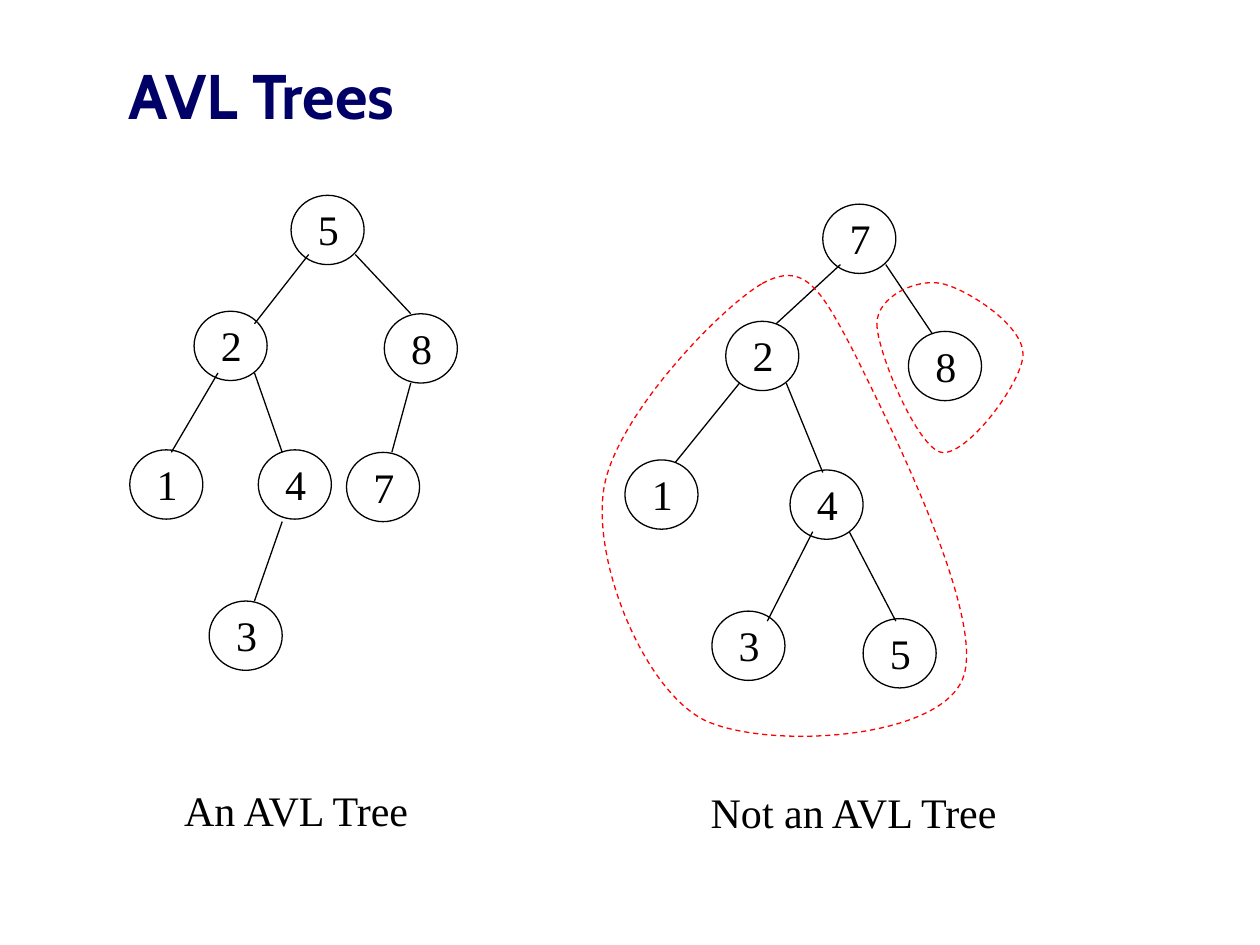
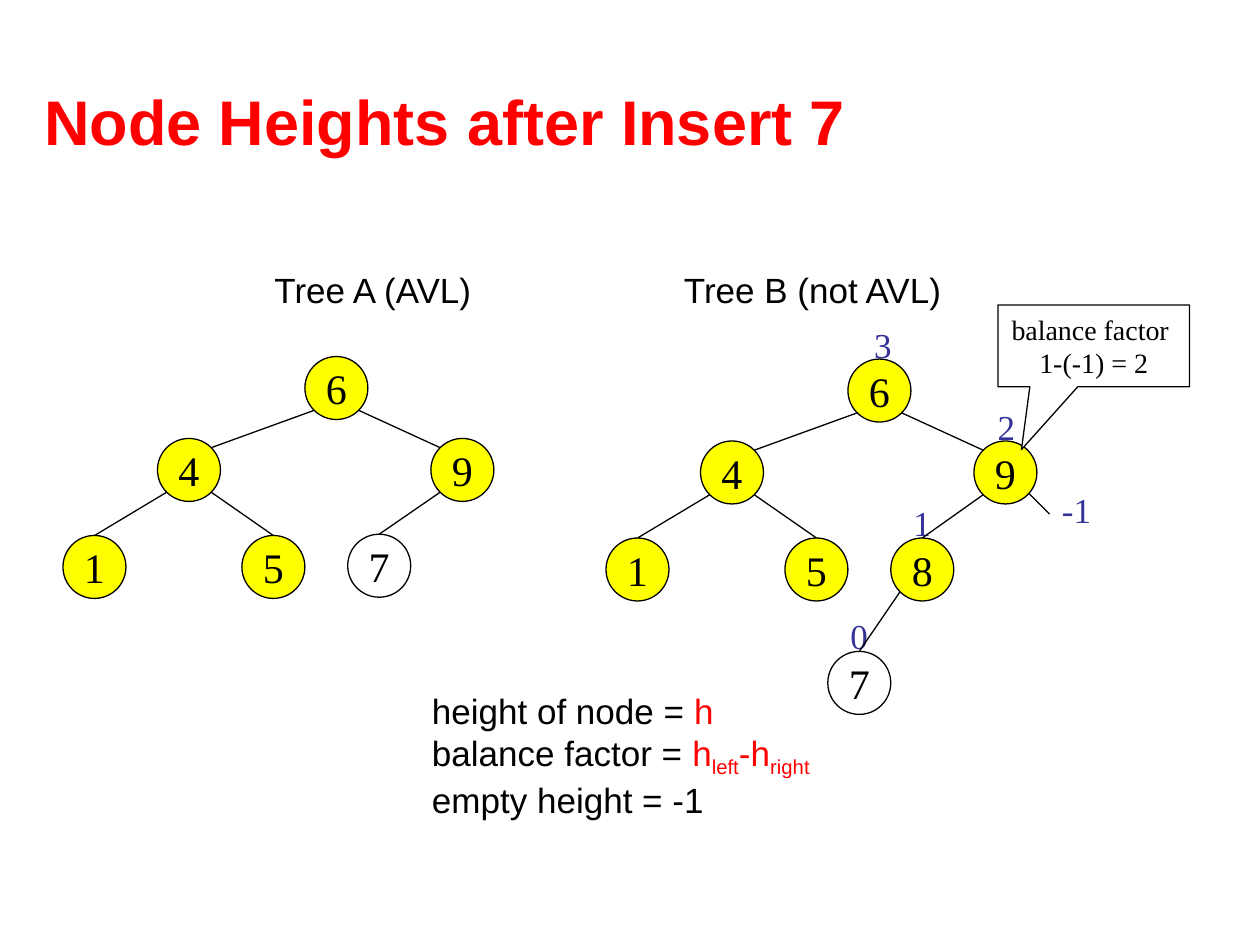
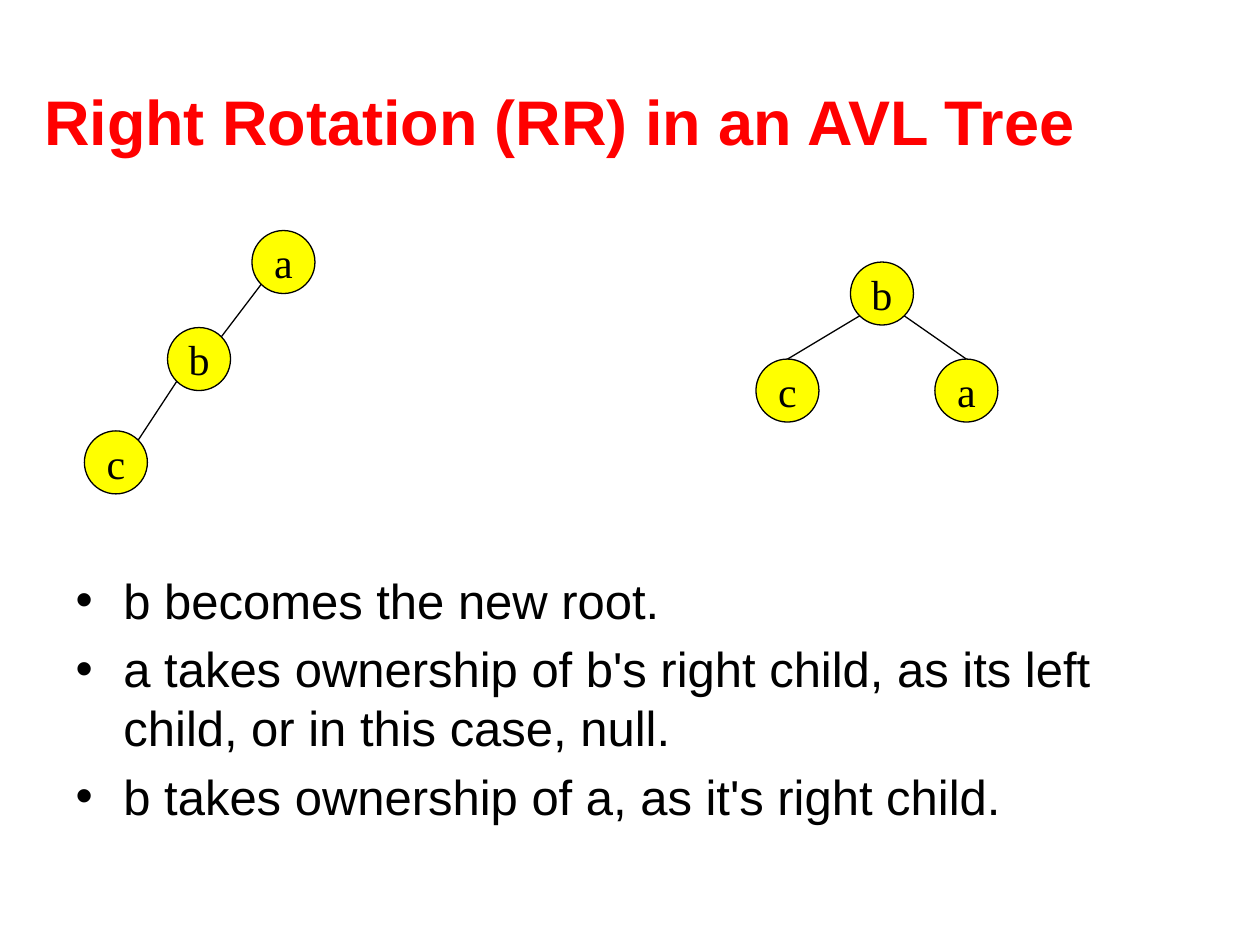
from dataclasses import dataclass
from itertools import chain
from typing import Optional, Sequence

from lxml.etree import SubElement
from pptx import Presentation
from pptx.dml.color import RGBColor
from pptx.enum.dml import MSO_LINE
from pptx.enum.shapes import MSO_CONNECTOR, MSO_SHAPE
from pptx.enum.text import MSO_ANCHOR as Anchor, MSO_AUTO_SIZE as AutoSize, PP_ALIGN as Align
from pptx.oxml.ns import qn
from pptx.util import Cm, Pt


@dataclass(frozen=True)
class Theme:
    """Colours, fonts and sizes shared by the slides."""
    black: str = "000000"
    white: str = "FFFFFF"
    red: str = "FF0000"
    navy: str = "000066"
    indigo: str = "333399"
    yellow: str = "FFFF00"
    sans: str = "Arial"
    serif: str = "Times New Roman"
    heading: str = "Cabin"
    title_size: float = 36
    body_size: float = 28
    node_size: float = 24
    label_size: float = 20
    callout_size: float = 16
    line_width: float = 0.75


THEME = Theme()
CIRCLE = 0.5           # diameter of a filled node, inches
CORNER = CIRCLE * 0.354  # offset of a diagonal point on its rim
Point = tuple[float, float]
Curve = tuple[Point, Point, Point]


@dataclass(frozen=True)
class Style:
    """Look of a piece of text."""
    size: float
    font: str = THEME.serif
    color: str = THEME.black
    bold: Optional[bool] = None


@dataclass(frozen=True)
class Span:
    """Part of a paragraph, in its own colour or lowered."""
    text: str
    color: str = THEME.black
    lowered: bool = False


@dataclass(frozen=True)
class Node:
    """Tree node: its text, top left corner and fill."""
    text: str
    x: float
    y: float
    fill: Optional[str] = THEME.yellow


@dataclass(frozen=True)
class Edge:
    """Link between two nodes, ending at the child's top or its corner."""
    parent: str
    child: str
    to_corner: bool = False


@dataclass(frozen=True)
class Label:
    """Free-standing line of text."""
    text: str
    x: float
    y: float
    width: float
    height: float


NODE_STYLE = Style(THEME.node_size)
HEIGHT_STYLE = Style(THEME.label_size, color=THEME.indigo)
LABEL_STYLE = Style(THEME.label_size, THEME.sans)
BODY_STYLE = Style(THEME.body_size, THEME.sans)


def inch(value: float) -> Cm:
    """Turn inches into a length."""
    return Cm(value * 2.54)


def rgb(color: str) -> RGBColor:
    """Turn a hex string into a colour."""
    return RGBColor.from_string(color)


def format_run(run, style: Style, color: Optional[str] = None) -> None:
    """Apply a text style to one run."""
    run.font.size = Pt(style.size)
    run.font.name = style.font
    run.font.bold = style.bold
    run.font.color.rgb = rgb(color or style.color)


def write_lines(frame, text: str, style: Style, align=Align.LEFT) -> None:
    """Fill a text frame and format every paragraph."""
    frame.text = text
    for para in frame.paragraphs:
        para.alignment = align
        for run in para.runs:
            format_run(run, style)


def space_before(para, percent: int):
    """Set relative space above a paragraph and return its properties."""
    props = para._p.get_or_add_pPr()
    spacing = SubElement(props, qn("a:spcBef"))
    SubElement(spacing, qn("a:spcPct")).set("val", str(percent * 1000))
    return props


def outline(shape, color: str = THEME.black, fill: Optional[str] = None) -> None:
    """Give a shape a thin line, an optional fill and no shadow."""
    shape.shadow.inherit = False
    if fill:
        shape.fill.solid()
        shape.fill.fore_color.rgb = rgb(fill)
    else:
        shape.fill.background()
    shape.line.color.rgb = rgb(color)
    shape.line.width = Pt(THEME.line_width)


def add_page(deck, title: str, style: Style, place: tuple, layout: int = 5):
    """Add a slide and format its title; layout 5 is title only."""
    page = deck.slides.add_slide(deck.slide_layouts[layout])
    box = page.shapes.title
    box.left, box.top, box.width, box.height = map(inch, place)
    write_lines(box.text_frame, title, style)
    box.text_frame.vertical_anchor = Anchor.MIDDLE
    box.text_frame.auto_size = AutoSize.NONE
    return page


def add_box(page, x: float, y: float, width: float, height: float, wrap: bool):
    """Add a growing text box and return its text frame."""
    box = page.shapes.add_textbox(inch(x), inch(y), inch(width), inch(height))
    box.text_frame.word_wrap = wrap
    box.text_frame.auto_size = AutoSize.SHAPE_TO_FIT_TEXT
    return box.text_frame


def add_label(page, label: Label, style: Style, align=Align.LEFT, wrap: bool = True) -> None:
    """Draw one label; wrapped labels have half a line above."""
    frame = add_box(page, label.x, label.y, label.width, label.height, wrap)
    write_lines(frame, label.text, style, align)
    if wrap:
        space_before(frame.paragraphs[0], 50)


def add_line(page, start: Point, end: Point) -> None:
    """Draw a thin straight line."""
    line = page.shapes.add_connector(MSO_CONNECTOR.STRAIGHT, *map(inch, start + end))
    line.line.color.rgb = rgb(THEME.black)
    line.line.width = Pt(THEME.line_width)
    SubElement(line._element.spPr, qn("a:effectLst"))


def add_outline_node(page, node: Node) -> None:
    """Draw an unfilled oval with its key in a box on top."""
    oval = page.shapes.add_shape(MSO_SHAPE.OVAL, inch(node.x), inch(node.y), inch(0.58), inch(0.55))
    outline(oval)
    add_label(page, Label(node.text, node.x + 0.115, node.y + 0.02, 0.44, 0.5), NODE_STYLE)


def add_circle(page, node: Node) -> None:
    """Draw a round node that holds its key."""
    circle = page.shapes.add_shape(MSO_SHAPE.OVAL, inch(node.x), inch(node.y), inch(CIRCLE), inch(CIRCLE))
    outline(circle, fill=node.fill)
    frame = circle.text_frame
    frame.word_wrap = False
    frame.vertical_anchor = Anchor.MIDDLE
    write_lines(frame, node.text, NODE_STYLE, Align.CENTER)


def add_tree(page, nodes: Sequence[Node], edges: Sequence[Edge]) -> None:
    """Draw round nodes and link them rim to rim."""
    centers = {}
    for node in nodes:
        add_circle(page, node)
        centers[node.text] = (node.x + CIRCLE / 2, node.y + CIRCLE / 2)
    for edge in edges:
        (px, py), (cx, cy) = centers[edge.parent], centers[edge.child]
        shift = CORNER if cx > px else -CORNER
        end = (cx - shift, cy - CORNER) if edge.to_corner else (cx, cy - CIRCLE / 2)
        add_line(page, (px + shift, py + CORNER), end)


def bend_segments(shape) -> None:
    """Turn each three straight segments of a freeform into one cubic curve."""
    contour = next(shape._element.iter(qn("a:path")))
    segments = contour.findall(qn("a:lnTo"))
    for first in range(0, len(segments), 3):
        curve = contour.makeelement(qn("a:cubicBezTo"))
        segments[first].addprevious(curve)
        for segment in segments[first:first + 3]:
            curve.append(segment[0])
            contour.remove(segment)


def add_loop(page, start: Point, curves: Sequence[Curve]) -> None:
    """Draw a dashed red loop round a subtree."""
    builder = page.shapes.build_freeform(inch(start[0]), inch(start[1]))
    builder.add_line_segments([(inch(x), inch(y)) for x, y in chain.from_iterable(curves)], close=True)
    loop = builder.convert_to_shape()
    bend_segments(loop)
    outline(loop, THEME.red)
    loop.line.dash_style = MSO_LINE.DASH


def add_definitions(page, lines: Sequence[Sequence[Span]]) -> None:
    """Write the definitions in mixed colours and lowered indices."""
    frame = add_box(page, 3.33, 5.42, 3.25, 1.1, wrap=False)
    for index, spans in enumerate(lines):
        para = frame.add_paragraph() if index else frame.paragraphs[0]
        for span in spans:
            run = para.add_run()
            run.text = span.text
            format_run(run, LABEL_STYLE, span.color)
            if span.lowered:
                run._r.get_or_add_rPr().set("baseline", "-25000")


def add_callout(page, text: str) -> None:
    """Draw the speech box that points at node 9."""
    callout = page.shapes.add_shape(MSO_SHAPE.RECTANGULAR_CALLOUT, inch(7.92), inch(2.42), inch(1.52), inch(0.65))
    callout.adjustments[0], callout.adjustments[1] = -0.377, 1.266
    outline(callout, fill=THEME.white)
    frame = callout.text_frame
    frame.word_wrap = False
    frame.auto_size = AutoSize.SHAPE_TO_FIT_TEXT
    frame.vertical_anchor = Anchor.MIDDLE
    write_lines(frame, text, Style(THEME.callout_size), Align.CENTER)


def add_bullets(page, items: Sequence[str]) -> None:
    """Write the bullet list at the foot of the body placeholder."""
    body = page.placeholders[1]
    body.left, body.top, body.width, body.height = map(inch, (0.5, 1.75, 9, 4.95))
    frame = body.text_frame
    frame.auto_size = AutoSize.NONE
    frame.vertical_anchor = Anchor.BOTTOM
    frame.margin_bottom = inch(0.15)
    write_lines(frame, "\n".join(items), BODY_STYLE)
    for para in frame.paragraphs:
        props = space_before(para, 20)
        props.set("marL", str(inch(0.38)))
        props.set("indent", str(-inch(0.38)))
        SubElement(props, qn("a:buChar")).set("char", "•")


def build_avl_trees(deck) -> None:
    """Compare a balanced tree with an unbalanced one."""
    page = add_page(deck, "AVL Trees", Style(THEME.title_size, THEME.heading, THEME.navy, True),
                    (0.92, 0.25, 8.5, 1))
    balanced = (Node("5", 2.31, 1.55), Node("2", 1.54, 2.47), Node("8", 3.05, 2.49), Node("1", 1.03, 3.57),
                Node("4", 2.05, 3.57), Node("3", 1.66, 4.77), Node("7", 2.75, 3.59))
    unbalanced = (Node("7", 6.53, 1.62), Node("2", 5.76, 2.55), Node("8", 7.21, 2.63), Node("1", 4.96, 3.65),
                  Node("4", 6.27, 3.73), Node("3", 5.65, 4.85), Node("5", 6.85, 4.91))
    balanced_links = (
        ((2.45, 2.02), (2.02, 2.57)), ((2.82, 2.02), (3.26, 2.49)), ((1.73, 2.96), (1.36, 3.59)),
        ((2.02, 2.96), (2.24, 3.59)), ((2.24, 4.14), (2.02, 4.77)), ((3.26, 3.04), (3.11, 3.59)))
    unbalanced_links = (
        ((6.67, 2.1), (6.16, 2.57)), ((7.03, 2.1), (7.4, 2.65)), ((5.87, 3.04), (5.36, 3.67)),
        ((6.24, 3.04), (6.53, 3.75)), ((6.45, 4.22), (6.09, 4.93)), ((6.74, 4.22), (7.11, 4.93)))
    trees = ((balanced, balanced_links, Label("An AVL Tree", 1.15, 6.18, 2.4, 0.5)),
             (unbalanced, unbalanced_links, Label("Not an AVL Tree", 5.36, 6.19, 2.83, 0.5)))
    for nodes, links, caption in trees:
        for node in nodes:
            add_outline_node(page, node)
        for start, end in links:
            add_line(page, start, end)
        add_label(page, caption, NODE_STYLE, Align.CENTER)
    add_loop(page, (6.05, 2.25), (
        ((6.38, 2.07), (6.51, 2.28), (6.78, 2.8)), ((7.04, 3.33), (7.84, 4.91), (7.64, 5.39)),
        ((7.44, 5.88), (6.06, 5.95), (5.58, 5.71)), ((5.11, 5.46), (4.71, 4.48), (4.79, 3.9)),
        ((4.86, 3.33), (5.72, 2.44), (6.05, 2.25))))
    add_loop(page, (6.96, 2.57), (
        ((6.96, 2.79), (7.28, 3.55), (7.47, 3.59)), ((7.67, 3.63), (8.12, 3.03), (8.12, 2.81)),
        ((8.12, 2.58), (7.67, 2.29), (7.47, 2.25)), ((7.28, 2.21), (6.96, 2.35), (6.96, 2.57))))


def build_node_heights(deck, title_style: Style, title_place: tuple) -> None:
    """Show heights and the balance factor after an insertion."""
    page = add_page(deck, "Node Heights after Insert 7", title_style, title_place)
    for text, x, y, width in (("2", 7.82, 3.17, 0.34), ("1", 7.15, 3.93, 0.34), ("3", 6.84, 2.52, 0.34),
                              ("0", 6.65, 4.83, 0.34), ("-1", 8.33, 3.83, 0.43)):
        add_label(page, Label(text, x, y, width, 0.43), HEIGHT_STYLE, wrap=False)

    shared_nodes = (Node("6", 2.42, 2.83), Node("4", 1.25, 3.48), Node("9", 3.42, 3.48),
                    Node("1", 0.5, 4.25), Node("5", 1.92, 4.25))
    shared_edges = (Edge("6", "4", True), Edge("6", "9", True), Edge("4", "1"), Edge("4", "5"))
    tree_b = tuple(Node(node.text, node.x + 4.31, node.y + 0.02) for node in shared_nodes)
    add_tree(page, tree_b + (Node("8", 7.07, 4.27), Node("7", 6.57, 5.17, None)),
             shared_edges + (Edge("9", "8"), Edge("8", "7")))
    add_line(page, (8.17, 3.92), (8.33, 4.08))
    add_tree(page, shared_nodes + (Node("7", 2.76, 4.24, None),), shared_edges + (Edge("9", "7"),))

    add_definitions(page, (
        (Span("height of node = "), Span("h", THEME.red)),
        (Span("balance factor = "), Span("h", THEME.red), Span("left", THEME.red, True),
         Span("-h", THEME.red), Span("right", THEME.red, True)),
        (Span("empty height = -1"),)))
    add_callout(page, "balance factor \n1-(-1) = 2")
    add_label(page, Label("Tree A (AVL)", 2.08, 2.08, 1.83, 0.43), LABEL_STYLE)
    add_label(page, Label("Tree B (not AVL)", 5.33, 2.08, 2.5, 0.43), LABEL_STYLE)


def build_right_rotation(deck, title_style: Style, title_place: tuple) -> None:
    """Show a tree before and after a right rotation."""
    page = add_page(deck, "Right Rotation (RR) in an AVL Tree", title_style, title_place, layout=1)
    add_bullets(page, ("b becomes the new root.",
                       "a takes ownership of b's right child, as its left child, or in this case, null. ",
                       "b takes ownership of a, as it's right child. "))
    add_tree(page, (Node("b", 6.75, 2.08), Node("c", 6, 2.85), Node("a", 7.42, 2.85)),
             (Edge("b", "c"), Edge("b", "a")))
    add_tree(page, (Node("a", 2, 1.83), Node("c", 0.67, 3.42), Node("b", 1.33, 2.6)),
             (Edge("a", "b", True), Edge("b", "c", True)))


def main() -> None:
    """Build the deck and save it."""
    deck = Presentation()
    deck.slide_width, deck.slide_height = Cm(25.4), Cm(19.05)
    red_title = Style(THEME.title_size, THEME.sans, THEME.red, True)
    red_place = (0.25, 0.58, 9, 0.75)
    build_avl_trees(deck)
    build_node_heights(deck, red_title, red_place)
    build_right_rotation(deck, red_title, red_place)
    deck.save("out.pptx")


main()
